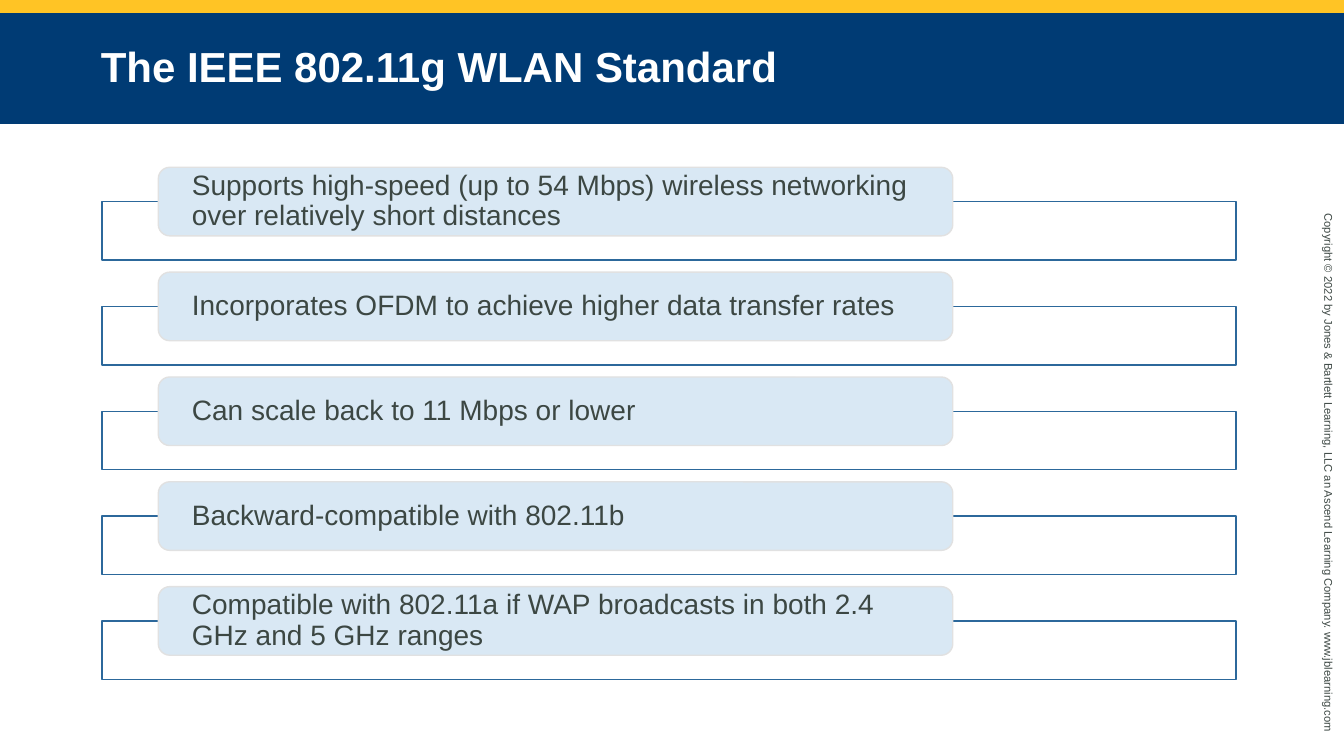
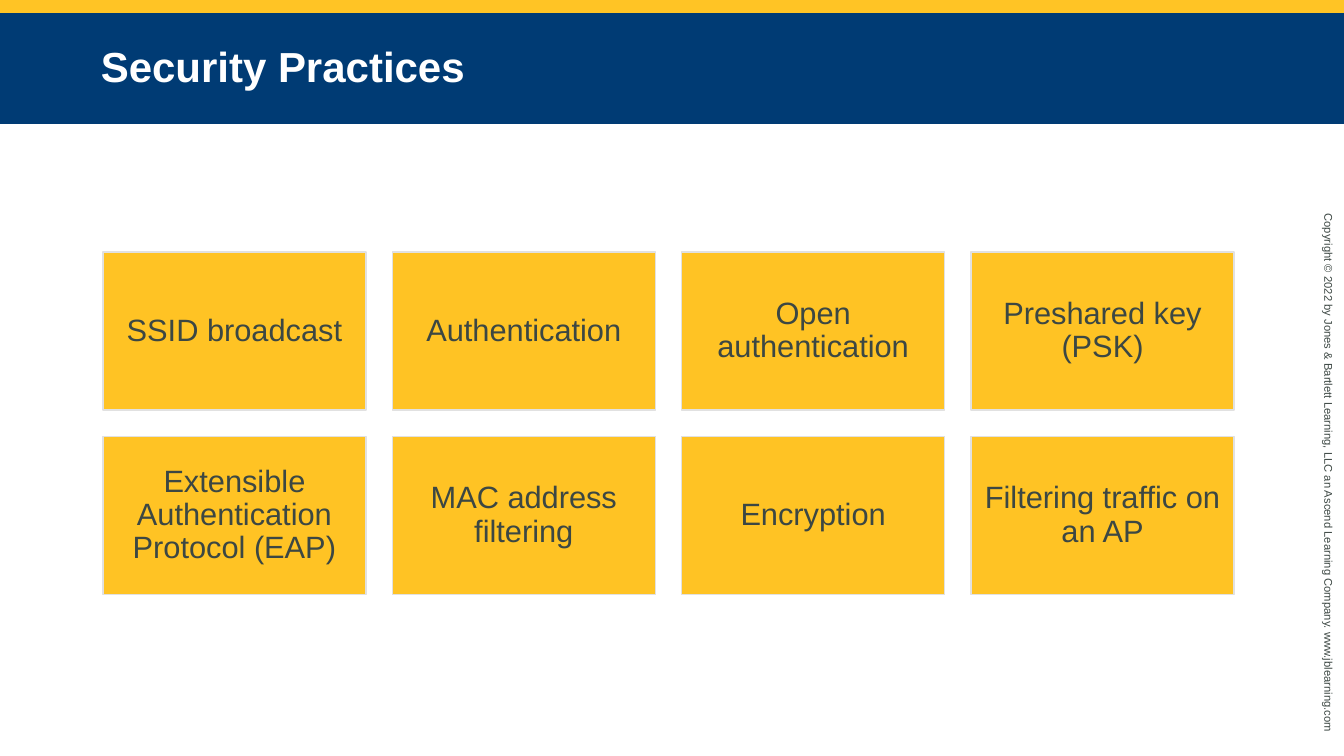
from pptx import Presentation
from pptx.dml.color import RGBColor
from pptx.enum.shapes import MSO_SHAPE
from pptx.enum.text import MSO_ANCHOR, PP_ALIGN
from pptx.util import Inches, Pt

RECT, ROUND = MSO_SHAPE.RECTANGLE, MSO_SHAPE.ROUNDED_RECTANGLE
LEFT, CENTER = PP_ALIGN.LEFT, PP_ALIGN.CENTER
MIDDLE = MSO_ANCHOR.MIDDLE

GOLD = RGBColor(0xFF, 0xC4, 0x25)
AMBER = RGBColor(0xFF, 0xC3, 0x24)
NAVY = RGBColor(0x00, 0x3B, 0x74)
BLUE = RGBColor(0x2C, 0x68, 0x9B)
PALE = RGBColor(0xD9, 0xE8, 0xF4)
GRAY = RGBColor(0xE1, 0xE1, 0xE1)
INK = RGBColor(0x3C, 0x47, 0x43)
WHITE = RGBColor(0xFF, 0xFF, 0xFF)

FONT = "Arial"
WIDTH = 13.33
COPYRIGHT = ("Copyright © 2022 by Jones & Bartlett Learning, LLC "
             "an Ascend Learning Company. www.jblearning.com")

deck = Presentation()
deck.slide_width, deck.slide_height = Inches(WIDTH), Inches(7.5)


def add_box(slide, kind, x, y, w, h, fill=None, line=None):
    box = slide.shapes.add_shape(kind, Inches(x), Inches(y), Inches(w), Inches(h))
    box.shadow.inherit = False
    if fill is None:
        box.fill.background()
    else:
        box.fill.solid()
        box.fill.fore_color.rgb = fill
    if line is None:
        box.line.fill.background()
    else:
        box.line.color.rgb = line
        box.line.width = Pt(1)
    return box


def set_text(box, text, size, color=INK, align=LEFT, side=0.1, top=0.05,
             space=0.9, bold=False):
    frame = box.text_frame
    frame.word_wrap = True
    frame.vertical_anchor = MIDDLE
    frame.margin_left = frame.margin_right = Inches(side)
    frame.margin_top = frame.margin_bottom = Inches(top)
    para = frame.paragraphs[0]
    para.text = text
    para.alignment = align
    para.line_spacing = space
    para.font.name, para.font.size = FONT, Pt(size)
    para.font.bold = bold
    para.font.color.rgb = color


# Shared frame: gold strip, copyright line, title band
slides = []
for title in ("The IEEE 802.11g WLAN Standard", "Security Practices"):
    slide = deck.slides.add_slide(deck.slide_layouts[6])
    add_box(slide, RECT, 0, 0, WIDTH, 0.13, GOLD)
    note = slide.shapes.add_textbox(Inches(10.44), Inches(4.64),
                                    Inches(5.48), Inches(0.24))
    note.rotation = 90
    set_text(note, COPYRIGHT, 8, space=1.0)
    band = add_box(slide, RECT, 0, 0.13, WIDTH, 1.1, NAVY)
    set_text(band, title, 30, WHITE, side=1, space=0.95, bold=True)
    slides.append(slide)
first, second = slides

# Standard: label pills over outlined bars
points = (
    "Supports high-speed (up to 54 Mbps) wireless networking over relatively short distances",
    "Incorporates OFDM to achieve higher data transfer rates",
    "Can scale back to 11 Mbps or lower",
    "Backward-compatible with 802.11b",
    "Compatible with 802.11a if WAP broadcasts in both 2.4 GHz and 5 GHz ranges",
)
for row, point in enumerate(points):
    y = 1.66 + row * 1.04
    add_box(first, RECT, 1.01, y + 0.34, 11.25, 0.58, line=BLUE)
    pill = add_box(first, ROUND, 1.57, y, 7.88, 0.68, PALE, GRAY)
    set_text(pill, point, 20, side=0.3, top=0)

# Practices: grid of tiles, four to a row
COLS, TILE_W, TILE_H, GAP = 4, 2.61, 1.57, 0.26
tiles = (
    "SSID broadcast", "Authentication", "Open authentication",
    "Preshared key (PSK)", "Extensible Authentication Protocol (EAP)",
    "MAC address filtering", "Encryption", "Filtering traffic on an AP",
)
for n, text in enumerate(tiles):
    row, col = divmod(n, COLS)
    tile = add_box(second, RECT, 1.02 + col * (TILE_W + GAP),
                   2.5 + row * (TILE_H + GAP), TILE_W, TILE_H, AMBER, GRAY)
    set_text(tile, text, 22, align=CENTER, side=0.09, top=0.09)

deck.save("out.pptx")
